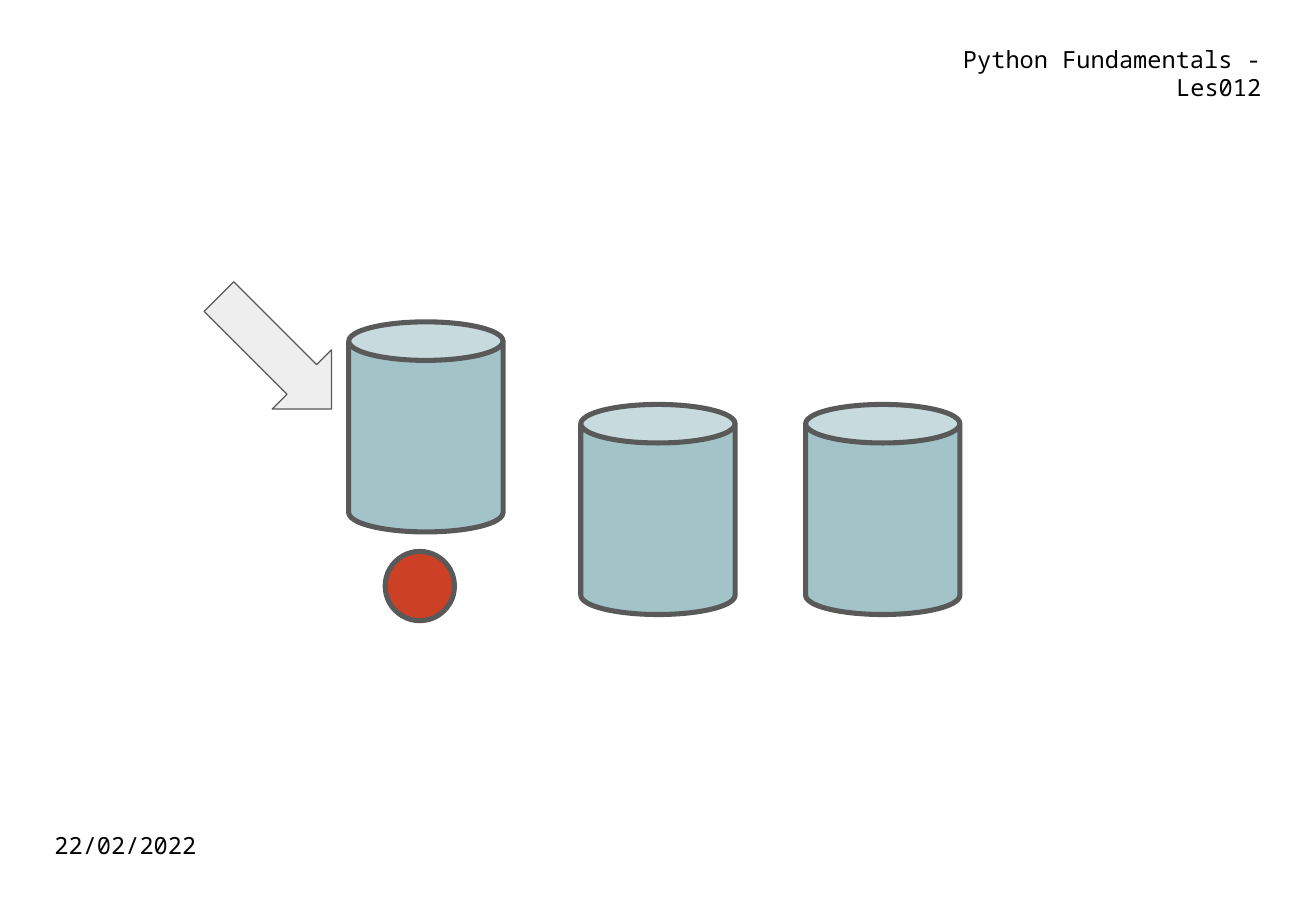
from pptx import Presentation
from pptx.dml.color import RGBColor
from pptx.enum.shapes import MSO_SHAPE
from pptx.enum.text import MSO_ANCHOR, PP_ALIGN
from pptx.util import Inches, Pt

CUP_BLUE = RGBColor(0xA2, 0xC4, 0xC9)
BALL_RED = RGBColor(0xCC, 0x41, 0x25)
ARROW_GRAY = RGBColor(0xEE, 0xEE, 0xEE)
OUTLINE = RGBColor(0x59, 0x59, 0x59)
BLACK = RGBColor(0, 0, 0)
FONT = "Noto Sans Mono"

presentation = Presentation()
presentation.slide_width = Inches(10.83)
presentation.slide_height = Inches(7.5)
slide = presentation.slides.add_slide(presentation.slide_layouts[6])


def add_figure(kind, left, top, width, height, fill, line_width=3):
    shape = slide.shapes.add_shape(
        kind, Inches(left), Inches(top), Inches(width), Inches(height))
    shape.shadow.inherit = False
    shape.fill.solid()
    shape.fill.fore_color.rgb = fill
    shape.line.color.rgb = OUTLINE
    shape.line.width = Pt(line_width)
    return shape


for left, top in [(2.87, 2.65), (4.78, 3.33), (6.63, 3.33)]:
    cup = add_figure(MSO_SHAPE.CAN, left, top, 1.27, 1.73, CUP_BLUE)
    cup.adjustments[0] = 0.25

arrow = add_figure(MSO_SHAPE.RIGHT_ARROW, 1.61, 2.56, 1.31, 0.69, ARROW_GRAY, 0.75)
arrow.rotation = 45

add_figure(MSO_SHAPE.OVAL, 3.17, 4.54, 0.57, 0.57, BALL_RED)

labels = [
    ("Python Fundamentals - Les012", 7.05, 0.27, PP_ALIGN.RIGHT),
    ("22/02/2022", 0.35, 6.74, PP_ALIGN.LEFT),
]
for text, left, top, alignment in labels:
    label = slide.shapes.add_textbox(
        Inches(left), Inches(top), Inches(3.43), Inches(0.48))
    frame = label.text_frame
    frame.word_wrap = True
    frame.vertical_anchor = MSO_ANCHOR.TOP
    frame.margin_left = frame.margin_right = Inches(0.1)
    frame.margin_top = frame.margin_bottom = Inches(0.1)
    paragraph = frame.paragraphs[0]
    paragraph.alignment = alignment
    run = paragraph.add_run()
    run.text = text
    run.font.name = FONT
    run.font.size = Pt(14)
    run.font.color.rgb = BLACK

presentation.save("out.pptx")
